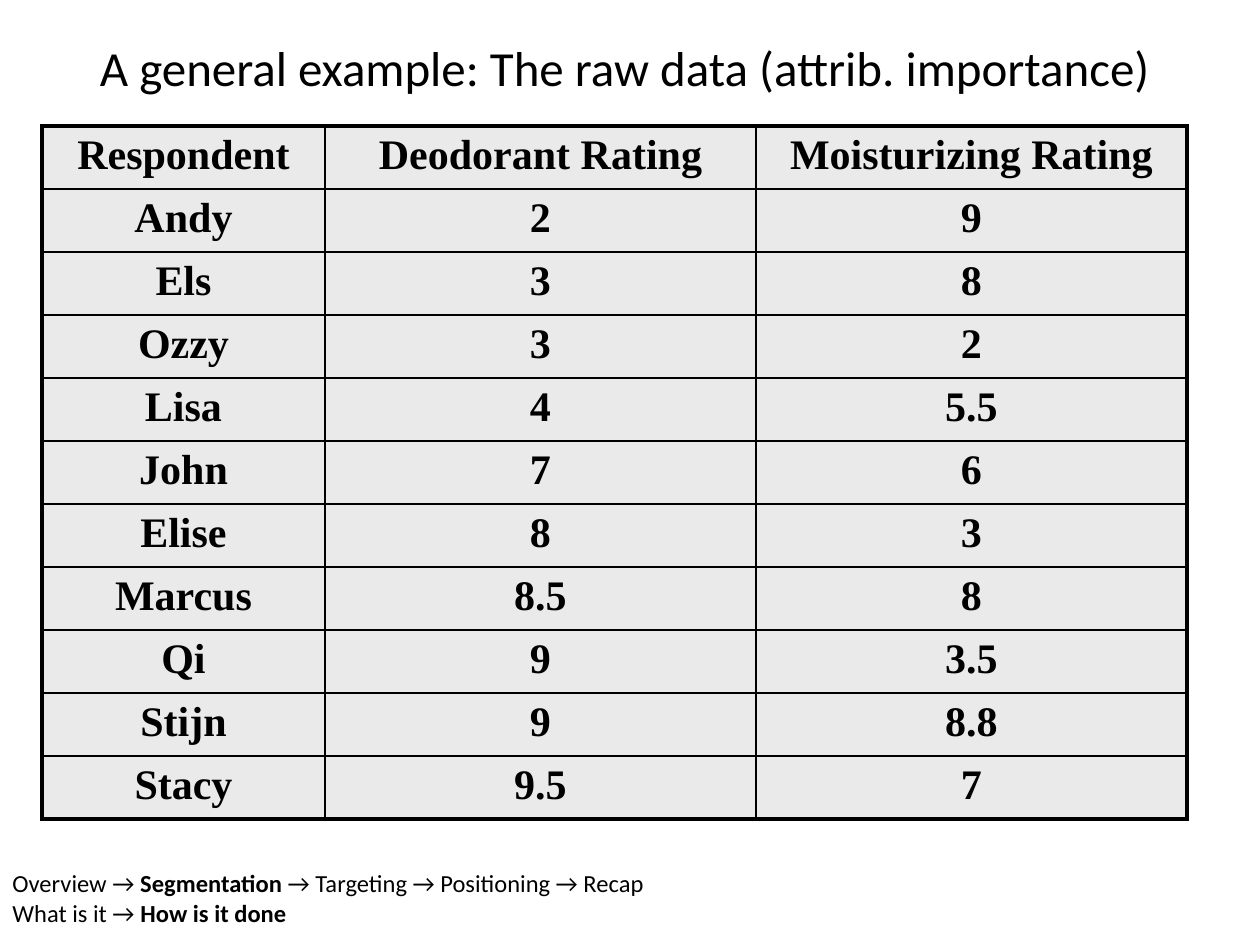
from lxml.etree import SubElement
from pptx import Presentation
from pptx.dml.color import RGBColor as Rgb
from pptx.enum.text import MSO_ANCHOR as Anchor, PP_ALIGN as Align
from pptx.oxml.ns import qn
from pptx.util import Emu, Pt

SCALE = 914400 / 126
COLOURS = {"ink": "000000", "cell": "EAEAEA"}
TITLE_FONT = {"name": "Calibri", "size": Pt(28), "bold": False}
TABLE_FONT = {"name": "Times New Roman", "size": Pt(24), "bold": True}
PATH_FONT = {"name": "Calibri", "size": Pt(14)}
COLUMN_WIDTHS = (283, 431, 431)
ROW_HEIGHT = 63
OUTER_LINE, INNER_LINE = 2.25, 1
RATINGS = (
    ("Respondent", "Deodorant Rating", "Moisturizing Rating"),
    ("Andy", "2", "9"),
    ("Els", "3", "8"),
    ("Ozzy", "3", "2"),
    ("Lisa", "4", "5.5"),
    ("John", "7", "6"),
    ("Elise", "8", "3"),
    ("Marcus", "8.5", "8"),
    ("Qi", "9", "3.5"),
    ("Stijn", "9", "8.8"),
    ("Stacy", "9.5", "7"),
)
COURSE_PATH = (
    (("Overview → ", False), ("Segmentation", True),
     (" → Targeting → Positioning → Recap", False)),
    (("What is it → ", False), ("How is it done", True)),
)


def px(length):
    """Turn a length in px into EMU."""
    return Emu(round(length * SCALE))


def add_span(para, text, font_format):
    """Add a run of text with the given font values."""
    span = para.add_run()
    span.text = text
    for name, value in font_format.items():
        setattr(span.font, name, value)
    span.font.color.rgb = Rgb.from_string(COLOURS["ink"])


def place_title(page, box, text):
    """Move the title placeholder to the box and write its text."""
    title = page.shapes.title
    for name, value in zip(("left", "top", "width", "height"), box):
        setattr(title, name, px(value))
    frame = title.text_frame
    frame.word_wrap = True
    frame.vertical_anchor = Anchor.TOP
    para = frame.paragraphs[0]
    para.alignment = Align.CENTER
    add_span(para, text, TITLE_FONT)


def add_border(cell, side, points):
    """Draw one border of a cell."""
    line = SubElement(cell._tc.get_or_add_tcPr(), qn(f"a:ln{side}"), w=str(Pt(points)))
    fill = SubElement(line, qn("a:solidFill"))
    SubElement(fill, qn("a:srgbClr"), val=COLOURS["ink"])


def add_ratings_table(page, box, rows):
    """Add the table of ratings with a heavy outer frame."""
    left, top, width, height = map(px, box)
    table = page.shapes.add_table(len(rows), len(rows[0]), left, top, width, height).table
    table.first_row = table.horz_banding = False
    for column, column_width in zip(table.columns, COLUMN_WIDTHS):
        column.width = px(column_width)
    last_row, last_column = len(rows) - 1, len(rows[0]) - 1
    for r, values in enumerate(rows):
        table.rows[r].height = px(ROW_HEIGHT)
        for c, text in enumerate(values):
            cell = table.cell(r, c)
            outer_sides = {"L": c == 0, "R": c == last_column,
                           "T": r == 0, "B": r == last_row}
            for side, is_outer in outer_sides.items():
                add_border(cell, side, OUTER_LINE if is_outer else INNER_LINE)
            cell.fill.solid()
            cell.fill.fore_color.rgb = Rgb.from_string(COLOURS["cell"])
            para = cell.text_frame.paragraphs[0]
            para.alignment = Align.CENTER
            add_span(para, text, TABLE_FONT)


def add_course_path(page, box, lines):
    """Add the lines that show the current place in the course."""
    frame = page.shapes.add_textbox(*map(px, box)).text_frame
    frame.word_wrap = True
    for index, spans in enumerate(lines):
        para = frame.add_paragraph() if index else frame.paragraphs[0]
        for text, bold in spans:
            add_span(para, text, {**PATH_FONT, "bold": bold})


def main():
    """Build the deck and save it."""
    deck = Presentation()
    deck.slide_width, deck.slide_height = px(1260), px(945)
    page = deck.slides.add_slide(deck.slide_layouts[5])
    place_title(page, (21, 31, 1207, 72),
                "A general example: The raw data (attrib. importance)")
    add_ratings_table(page, (42, 126, sum(COLUMN_WIDTHS), ROW_HEIGHT * len(RATINGS)), RATINGS)
    add_course_path(page, (0, 862, 1220, 72), COURSE_PATH)
    deck.save("out.pptx")


if __name__ == "__main__":
    main()
